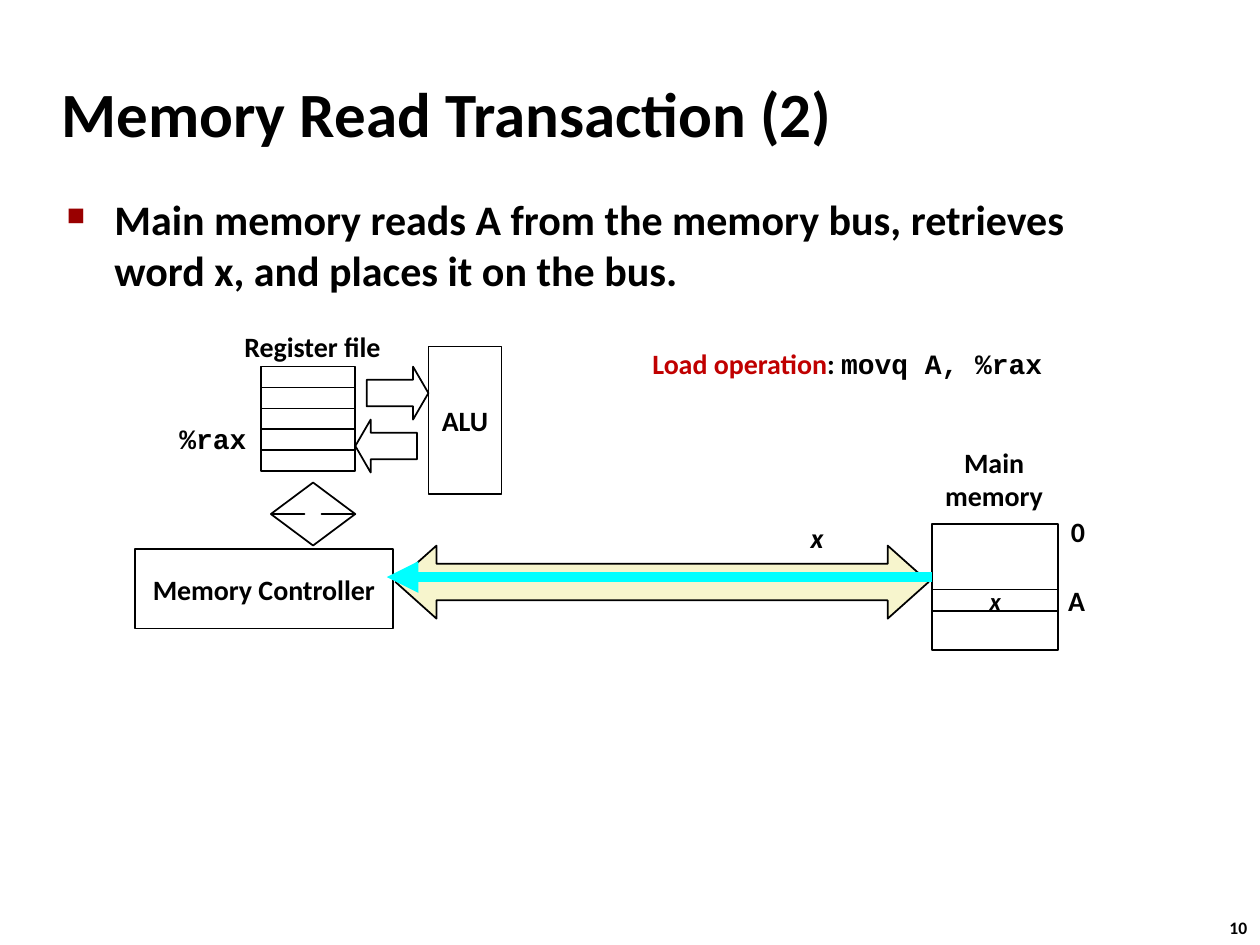
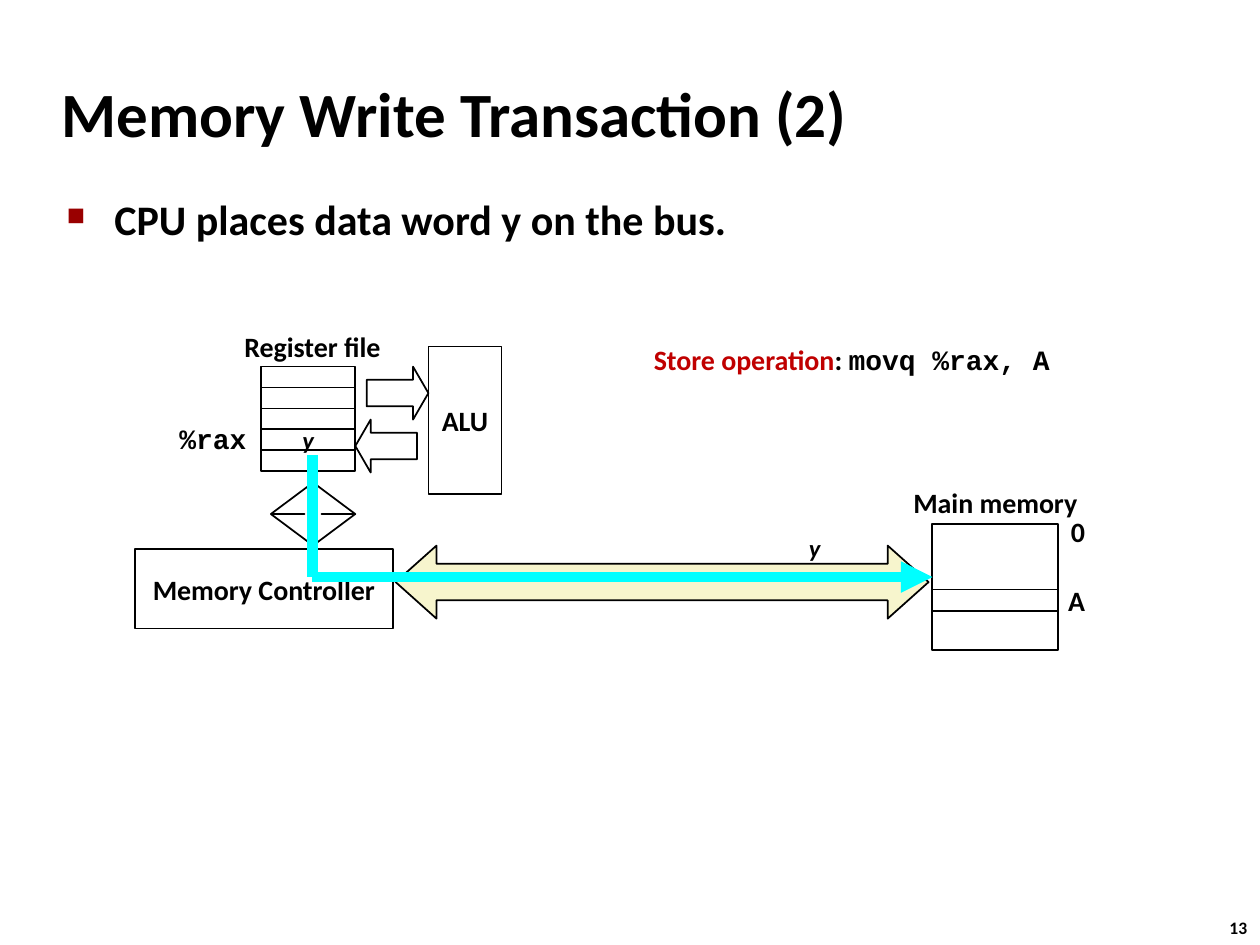
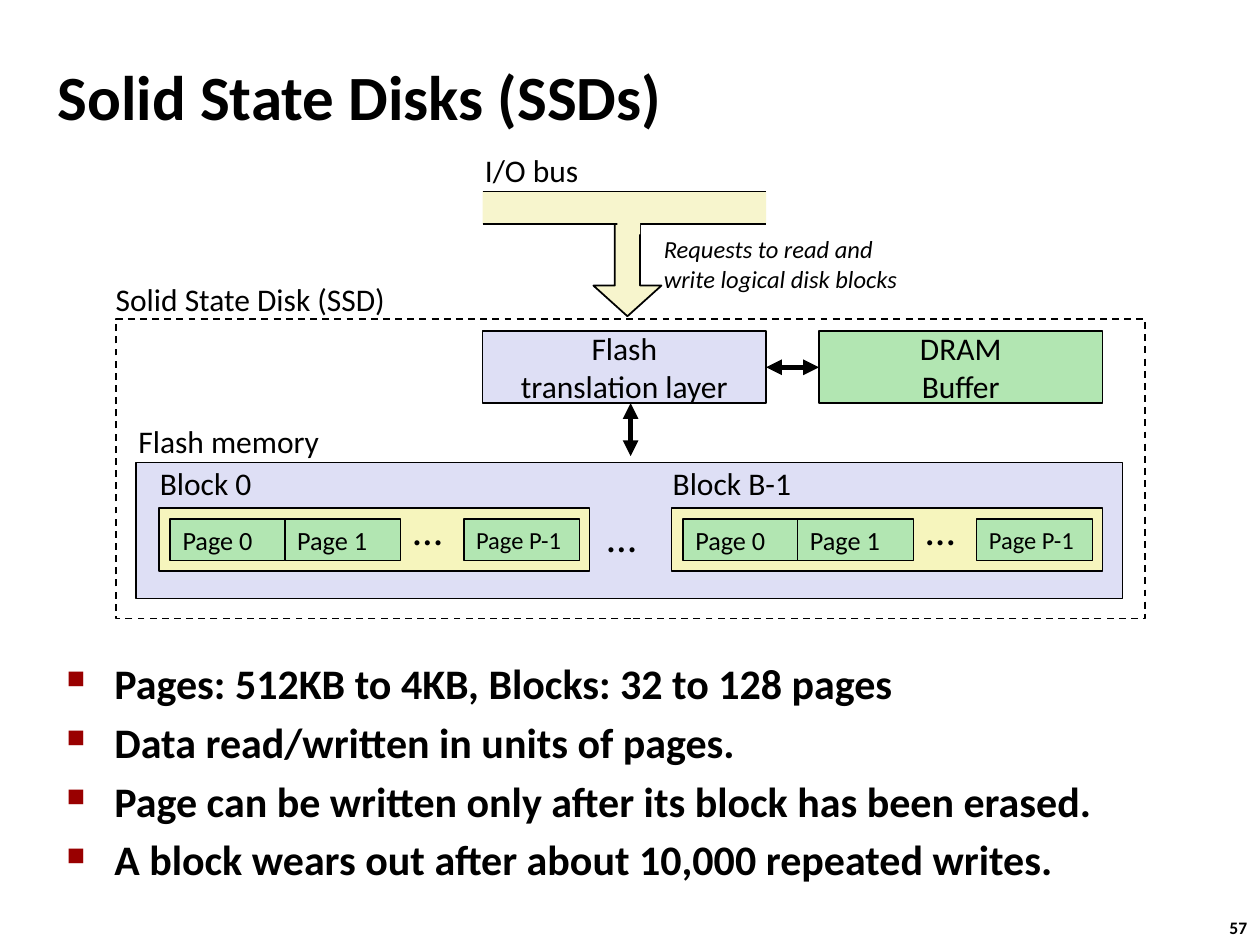
import dataclasses
import itertools

import lxml.etree
import pptx
import pptx.dml.color
import pptx.enum.dml
import pptx.enum.shapes
import pptx.enum.text
import pptx.oxml.ns
import pptx.util

RGBColor = pptx.dml.color.RGBColor
Inches = pptx.util.Inches
Pt = pptx.util.Pt
SHAPE = pptx.enum.shapes.MSO_SHAPE
ALIGN = pptx.enum.text.PP_ALIGN
ANCHOR = pptx.enum.text.MSO_ANCHOR
qn = pptx.oxml.ns.qn

BLACK = RGBColor(0x00, 0x00, 0x00)
WHITE = RGBColor(0xFF, 0xFF, 0xFF)
RED = RGBColor(0xC0, 0x00, 0x00)
BULLET_RED = RGBColor(0x99, 0x00, 0x00)
CYAN = RGBColor(0x00, 0xFF, 0xFF)
BUS_CREAM = RGBColor(0xF7, 0xF5, 0xCD)
BLOCK_YELLOW = RGBColor(0xF6, 0xF5, 0xBD)
LAVENDER = RGBColor(0xDE, 0xDF, 0xF5)
GREEN = RGBColor(0xB2, 0xE6, 0xB2)
BODY_FONT = "Calibri"
CODE_FONT = "Courier New"


@dataclasses.dataclass
class Box:
    left: float
    top: float
    width: float
    height: float

    def inner(self, left, top, width, height):
        """Box whose left and top are measured from this one."""
        return Box(self.left + left, self.top + top, width, height)

    def lengths(self):
        return [Inches(value) for value in dataclasses.astuple(self)]


def write_text(shape, text, size=16, bold=True, italic=False, color=BLACK, font=BODY_FONT,
               align=ALIGN.LEFT, anchor=ANCHOR.MIDDLE, wrap=False, space=0, prepare=None):
    """Fill a shape with one paragraph per line, or with one paragraph of (text, format) spans."""
    frame = shape.text_frame
    frame.word_wrap = wrap
    frame.vertical_anchor = anchor
    lines = text.split("\n") if isinstance(text, str) else [text]
    for index, line in enumerate(lines):
        para = frame.add_paragraph() if index else frame.paragraphs[0]
        if prepare:
            prepare(para)
        para.alignment = align
        para.space_before = Pt(space if index else 0)
        for words, changes in [(line, {})] if isinstance(line, str) else line:
            span = para.add_run()
            span.text = words
            span.font.size = Pt(size)
            span.font.bold = bold
            span.font.italic = italic
            span.font.name = changes.get("font", font)
            span.font.color.rgb = changes.get("color", color)


def add_text(page, box, text, **format):
    write_text(page.shapes.add_textbox(*box.lengths()), text, **format)


def add_block(page, box, text="", kind=SHAPE.RECTANGLE, fill=None, line=BLACK, adjust=(),
              **format):
    block = page.shapes.add_shape(kind, *box.lengths())
    block.shadow.inherit = False
    for index, value in enumerate(adjust):
        block.adjustments[index] = value
    if fill is None:
        block.fill.background()
    else:
        block.fill.solid()
        block.fill.fore_color.rgb = fill
    if line is None:
        block.line.fill.background()
    else:
        block.line.color.rgb = line
        block.line.width = Pt(1)
    if text:
        write_text(block, text, **format)
    return block


def add_line(page, start, end, color=BLACK, width=1, ends=()):
    """Straight line; ends lists headEnd (start) and tailEnd (end) where arrowheads go."""
    line = page.shapes.add_connector(pptx.enum.shapes.MSO_CONNECTOR.STRAIGHT,
                                     *[Inches(value) for value in (*start, *end)])
    line.line.color.rgb = color
    line.line.width = Pt(width)
    properties = line.element.spPr
    for end_name in ends:
        lxml.etree.SubElement(properties.find(qn("a:ln")), qn("a:" + end_name), type="triangle")
    lxml.etree.SubElement(properties, qn("a:effectLst"))
    return line


def make_bullet(para):
    properties = para._p.get_or_add_pPr()
    indent = Inches(0.38)
    properties.set("marL", str(indent))
    properties.set("indent", str(-indent))
    color = lxml.etree.SubElement(properties, qn("a:buClr"))
    lxml.etree.SubElement(color, qn("a:srgbClr"), val=str(BULLET_RED))
    lxml.etree.SubElement(properties, qn("a:buSzPct"), val="60000")
    lxml.etree.SubElement(properties, qn("a:buChar"), char="■")


def add_page(deck, title, number, bullets, title_box, body_box):
    page = deck.slides.add_slide(deck.slide_layouts[6])
    add_text(page, Box(9.66, 7.23, 0.37, 0.27), number, size=10, anchor=ANCHOR.TOP)
    add_text(page, title_box, title, size=36, wrap=True)
    add_text(page, body_box, bullets, size=24, anchor=ANCHOR.TOP, wrap=True, space=4.8,
             prepare=make_bullet)
    return page


def draw_processor(page, box, register_value):
    registers = box.inner(1, 0.35, 0.75, 0.83)
    row_height = registers.height / 5
    for row in range(5):
        add_block(page, registers.inner(0, row * row_height, registers.width, row_height),
                  register_value if row == 3 else "", size=14, italic=True, align=ALIGN.CENTER)
    for kind, left, top in ((SHAPE.RIGHT_ARROW, 1.84, 0.35), (SHAPE.LEFT_ARROW, 1.75, 0.77)):
        add_block(page, box.inner(left, top, 0.49, 0.42), kind=kind, adjust=(0.5, 0.29))
    add_block(page, box.inner(2.33, 0.19, 0.58, 1.17), "ALU", align=ALIGN.CENTER)
    add_text(page, box.inner(0.76, 0, 1.3, 0.37), "Register file", align=ALIGN.CENTER)
    add_text(page, box.inner(0.25, 0.73, 0.74, 0.37), "%rax", font=CODE_FONT,
             align=ALIGN.CENTER)
    add_block(page, box.inner(1.08, 1.27, 0.67, 0.5), kind=SHAPE.UP_DOWN_ARROW,
              adjust=(0.5, 0.2))
    add_block(page, box.inner(0, 1.8, 2.05, 0.63), "Memory Controller", fill=WHITE,
              align=ALIGN.CENTER)


def draw_main_memory(page, box, value, caption_box):
    add_block(page, box)
    add_block(page, box.inner(0, 0.52, box.width, 0.17), value, size=14, italic=True,
              align=ALIGN.CENTER)
    add_text(page, box.inner(1, -0.13, 0.32, 0.37), "0")
    add_text(page, box.inner(0.98, 0.42, 0.34, 0.37), "A")
    add_text(page, caption_box, "Main memory", align=ALIGN.CENTER, wrap=True)


def draw_flow(page, points):
    """Thick path through the points with an arrowhead at the last one."""
    for start, end in itertools.pairwise(points):
        add_line(page, start, end, color=CYAN, width=6,
                 ends=("tailEnd",) if end == points[-1] else ())


def transaction_page(deck, title, number, bullet, operation, code, operation_box, word,
                     word_box, word_size, caption_box, flow, register_value="",
                     memory_value=""):
    page = add_page(deck, title, number, bullet, Box(0.39, 0.48, 8.3, 0.83),
                    Box(0.43, 1.49, 8.64, 5.44))
    diagram = Box(1.07, 2.56, 7.65, 2.6)
    add_block(page, diagram.inner(2.07, 1.77, 4.23, 0.58), kind=SHAPE.LEFT_RIGHT_ARROW,
              fill=BUS_CREAM, adjust=(0.5, 0.56))
    draw_processor(page, diagram.inner(0, 0, 2.91, 2.43), register_value)
    memory = diagram.inner(6.33, 1.6, 1, 1)
    draw_main_memory(page, memory, memory_value, memory.inner(*caption_box))
    draw_flow(page, [(diagram.left + x, diagram.top + y) for x, y in flow])
    add_text(page, diagram.inner(*word_box), word, size=word_size, italic=True,
             align=ALIGN.CENTER)
    add_text(page, diagram.inner(*operation_box),
             [(operation, {"color": RED}), (": ", {}), (code, {"font": CODE_FONT})],
             anchor=ANCHOR.TOP)


def draw_io_bus(page, box):
    bus = box.inner(0.08, 0.37, 2.25, 0.26)
    add_block(page, box.inner(0.96, 0.61, 0.54, 0.75), kind=SHAPE.DOWN_ARROW, fill=BUS_CREAM,
              adjust=(0.37, 0.45))
    add_block(page, bus, fill=BUS_CREAM, line=None)
    for edge in (bus.top, bus.top + bus.height):
        add_line(page, (bus.left, edge), (bus.left + bus.width, edge))
    add_block(page, box.inner(1.15, 0.54, 0.18, 0.17), fill=BUS_CREAM, line=None)
    add_text(page, box.inner(0, 0, 0.95, 0.4), "I/O bus", size=18, bold=False)
    add_text(page, box.inner(1.42, 0.66, 2.33, 0.57),
             "Requests to read and\nwrite logical disk blocks", size=14, bold=False,
             italic=True, anchor=ANCHOR.TOP, wrap=True)


def add_ellipsis(page, box):
    add_text(page, box, "…", size=24, bold=False, anchor=ANCHOR.TOP)


def draw_flash_block(page, box, label):
    add_block(page, box, fill=BLOCK_YELLOW)
    for left, name, size in ((0.09, "Page 0", 15), (1, "Page 1", 15), (2.42, "Page P-1", 14)):
        add_block(page, box.inner(left, 0.09, 0.92, 0.33), name, fill=GREEN, size=size,
                  bold=False)
    add_ellipsis(page, box.inner(1.92, -0.08, 0.44, 0.5))
    add_text(page, box.inner(-0.09, -0.4, 1.21, 0.4), label, size=18, bold=False,
             anchor=ANCHOR.TOP)


def draw_solid_state_disk(page, box):
    caption = {"size": 18, "bold": False, "anchor": ANCHOR.TOP}
    label = {"size": 18, "bold": False, "align": ALIGN.CENTER}
    add_block(page, box).line.dash_style = pptx.enum.dml.MSO_LINE.DASH
    add_text(page, box.inner(-0.1, -0.36, 2.37, 0.4), "Solid State Disk (SSD)", **caption)

    layer = add_block(page, box.inner(2.91, 0.1, 2.25, 0.57), "Flash\ntranslation layer",
                      fill=LAVENDER, **label)
    buffer = add_block(page, box.inner(5.58, 0.1, 2.25, 0.57), "DRAM\nBuffer", fill=GREEN,
                       **label)
    both = ("headEnd", "tailEnd")
    link = add_line(page, (box.left + 5.58, box.top + 0.38), (box.left + 5.16, box.top + 0.38),
                    width=3, ends=both)
    link.begin_connect(buffer, 1)
    link.end_connect(layer, 3)
    middle = box.left + box.width / 2
    add_line(page, (middle, box.top + 0.67), (middle, box.top + 1.09), width=3, ends=both)

    memory = box.inner(0.16, 1.14, 7.83, 1.08)
    add_block(page, memory, fill=LAVENDER)
    add_text(page, memory.inner(-0.08, -0.37, 1.65, 0.4), "Flash memory", **caption)
    for left, name in ((0.18, "Block 0"), (4.25, "Block B-1")):
        draw_flash_block(page, memory.inner(left, 0.36, 3.42, 0.5), name)
    add_ellipsis(page, memory.inner(3.64, 0.33, 0.44, 0.5))


def solid_state_page(deck):
    bullets = ("Pages: 512KB to 4KB, Blocks: 32 to 128 pages\n"
               "Data read/written in units of pages.\n"
               "Page can be written only after its block has been erased.\n"
               "A block wears out after about 10,000 repeated writes.")
    page = add_page(deck, "Solid State Disks (SSDs)", "57", bullets,
                    Box(0.36, 0.34, 8.3, 0.83), Box(0.43, 5.17, 8.64, 2.08))
    draw_io_bus(page, Box(3.75, 1.15, 3.75, 1.36))
    draw_solid_state_disk(page, Box(0.92, 2.53, 8.17, 2.38))


def main():
    deck = pptx.Presentation()
    deck.slide_width = Inches(10)
    deck.slide_height = Inches(7.5)
    transaction_page(
        deck, "Memory Read Transaction (2)", "10",
        "Main memory reads A from the memory bus, retrieves word x, and places it on the bus.",
        "Load operation", "movq A, %rax", (4.01, 0.14, 3.34, 0.64),
        word="x", word_box=(5.26, 1.52, 0.31, 0.37), word_size=16,
        caption_box=(-0.23, -0.68, 1.44, 0.64), flow=[(6.33, 2.02), (2, 2.02)],
        memory_value="x")
    transaction_page(
        deck, "Memory Write Transaction (2)", "13", "CPU places data word y on the bus.",
        "Store operation", "movq %rax, A", (4.02, 0.11, 3.39, 0.64),
        word="y", word_box=(5.25, 1.62, 0.29, 0.34), word_size=14,
        caption_box=(-0.27, -0.36, 1.54, 0.37),
        flow=[(1.41, 1.05), (1.41, 2.02), (6.33, 2.02)], register_value="y")
    solid_state_page(deck)
    deck.save("out.pptx")


if __name__ == "__main__":
    main()
